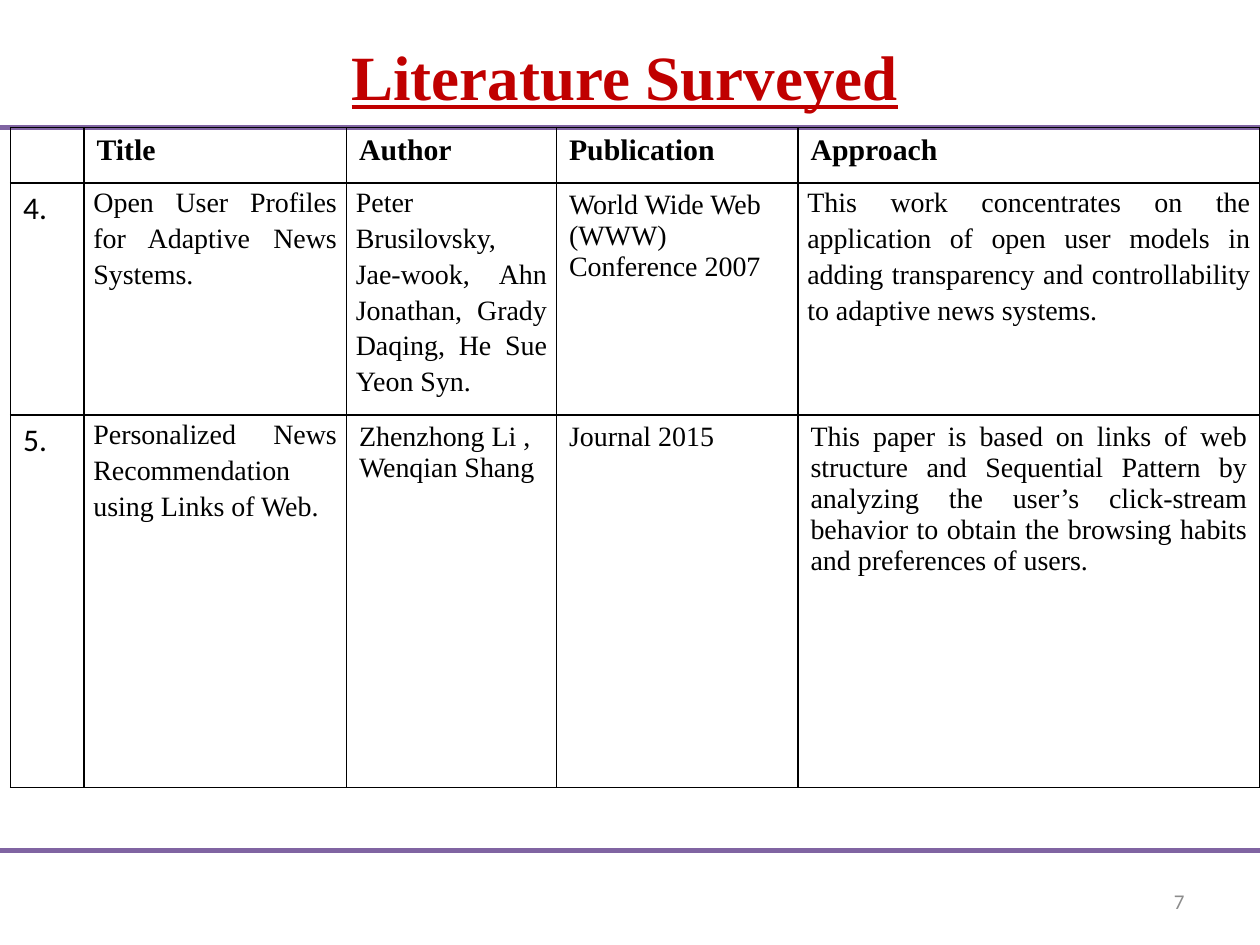
from dataclasses import dataclass

from lxml.etree import SubElement
from pptx import Presentation
from pptx.dml.color import RGBColor
from pptx.enum.shapes import MSO_CONNECTOR
from pptx.enum.text import MSO_ANCHOR, PP_ALIGN
from pptx.oxml.ns import qn
from pptx.slide import Slide
from pptx.table import _Cell
from pptx.text.text import TextFrame
from pptx.util import Pt


@dataclass(frozen=True)
class Style:
    font: str
    size: float
    color: str = "000000"
    bold: bool = False
    underline: bool = False


@dataclass(frozen=True)
class Theme:
    title: Style = Style("Times New Roman", 36, "C00000", True, True)
    header: Style = Style("Times New Roman", 17, bold=True)
    body: Style = Style("Times New Roman", 16)
    index: Style = Style("Calibri", 18)
    page: Style = Style("Calibri", 12, "8C8C8C")
    rule: str = "8064A2"
    border: str = "000000"


@dataclass(frozen=True)
class Entry:
    text: str
    style: Style
    justified: bool = False
    spaced: bool = False


THEME = Theme()
SLIDE_W, SLIDE_H = 720, 540
RULE_TOP, RULE_BOTTOM = 72.7, 486
TABLE_LEFT, TABLE_TOP = 6, 73
COLUMNS = (42, 150, 120, 138, 264)
ROWS = (31.7, 91.4, 213.1)


def header(text: str) -> Entry:
    return Entry(text, THEME.header)


def index(text: str) -> Entry:
    return Entry(text, THEME.index)


def plain(text: str) -> Entry:
    return Entry(text, THEME.body)


def justified(text: str) -> Entry:
    return Entry(text, THEME.body, justified=True)


def spaced(text: str) -> Entry:
    """Justified text with open line spacing and tight cell margins."""
    return Entry(text, THEME.body, justified=True, spaced=True)


SURVEY = (
    (header(""), header("Title"), header("Author"), header("Publication"), header("Approach")),
    (
        index("4."),
        spaced("Open User Profiles for Adaptive News Systems."),
        spaced("Peter Brusilovsky, Jae-wook, Ahn Jonathan, Grady Daqing, He Sue Yeon Syn."),
        plain("World Wide Web (WWW) Conference 2007"),
        spaced("This work concentrates on the application of open user models in adding "
               "transparency and controllability to adaptive news systems."),
    ),
    (
        index("5."),
        spaced("Personalized News Recommendation using Links of Web."),
        plain("Zhenzhong Li , Wenqian Shang"),
        plain("Journal 2015"),
        justified("This paper is based on links of web structure and Sequential Pattern by "
                  "analyzing the user’s click-stream behavior to obtain the browsing habits "
                  "and preferences of users."),
    ),
)


def write(tf: TextFrame, text: str, style: Style, align: PP_ALIGN) -> None:
    tf.word_wrap = True
    p = tf.paragraphs[0]
    p.alignment = align
    r = p.add_run()
    r.text = text
    font = r.font
    font.name, font.size = style.font, Pt(style.size)
    font.bold, font.underline = style.bold, style.underline
    font.color.rgb = RGBColor.from_string(style.color)


def add_title(s: Slide, text: str) -> None:
    sp = s.shapes.title
    sp.left, sp.top, sp.width, sp.height = Pt(18), Pt(21.6), Pt(678), Pt(42.5)
    sp.text_frame.vertical_anchor = MSO_ANCHOR.MIDDLE
    write(sp.text_frame, text, THEME.title, PP_ALIGN.CENTER)


def add_rule(s: Slide, y: float) -> None:
    line = s.shapes.add_connector(MSO_CONNECTOR.STRAIGHT, Pt(0), Pt(y), Pt(SLIDE_W), Pt(y))
    line.line.color.rgb = RGBColor.from_string(THEME.rule)
    line.line.width = Pt(3)
    SubElement(line._element.spPr, qn("a:effectLst"))


def add_page_number(s: Slide, number: str) -> None:
    sp = s.shapes.add_textbox(Pt(516), Pt(500.5), Pt(168), Pt(28.8))
    sp.text_frame.vertical_anchor = MSO_ANCHOR.MIDDLE
    write(sp.text_frame, number, THEME.page, PP_ALIGN.RIGHT)


def set_borders(cell: _Cell) -> None:
    tc_pr = cell._tc.get_or_add_tcPr()
    for side in ("a:lnL", "a:lnR", "a:lnT", "a:lnB"):
        ln = SubElement(tc_pr, qn(side), w=str(Pt(1)))
        fill = SubElement(ln, qn("a:solidFill"))
        SubElement(fill, qn("a:srgbClr"), val=THEME.border)


def fill_cell(cell: _Cell, entry: Entry) -> None:
    set_borders(cell)
    cell.fill.background()
    align = PP_ALIGN.JUSTIFY if entry.justified else PP_ALIGN.LEFT
    if entry.text:
        write(cell.text_frame, entry.text, entry.style, align)
    if entry.spaced:
        cell.margin_left = cell.margin_right = Pt(5.4)
        cell.margin_top = cell.margin_bottom = Pt(0)
        cell.text_frame.paragraphs[0].line_spacing = 1.15


def add_survey_table(s: Slide) -> None:
    frame = s.shapes.add_table(len(ROWS), len(COLUMNS), Pt(TABLE_LEFT), Pt(TABLE_TOP),
                               Pt(sum(COLUMNS)), Pt(sum(ROWS)))
    table = frame.table
    table.horz_banding = False
    table.first_row = False
    for column, width in zip(table.columns, COLUMNS):
        column.width = Pt(width)
    for row, height, entries in zip(table.rows, ROWS, SURVEY):
        row.height = Pt(height)
        for cell, entry in zip(row.cells, entries):
            fill_cell(cell, entry)


def main() -> None:
    prs = Presentation()
    prs.slide_width, prs.slide_height = Pt(SLIDE_W), Pt(SLIDE_H)
    s = prs.slides.add_slide(prs.slide_layouts[5])
    add_title(s, "Literature Surveyed")
    add_page_number(s, "7")
    for y in (RULE_TOP, RULE_BOTTOM):
        add_rule(s, y)
    add_survey_table(s)
    prs.save("out.pptx")


if __name__ == "__main__":
    main()
